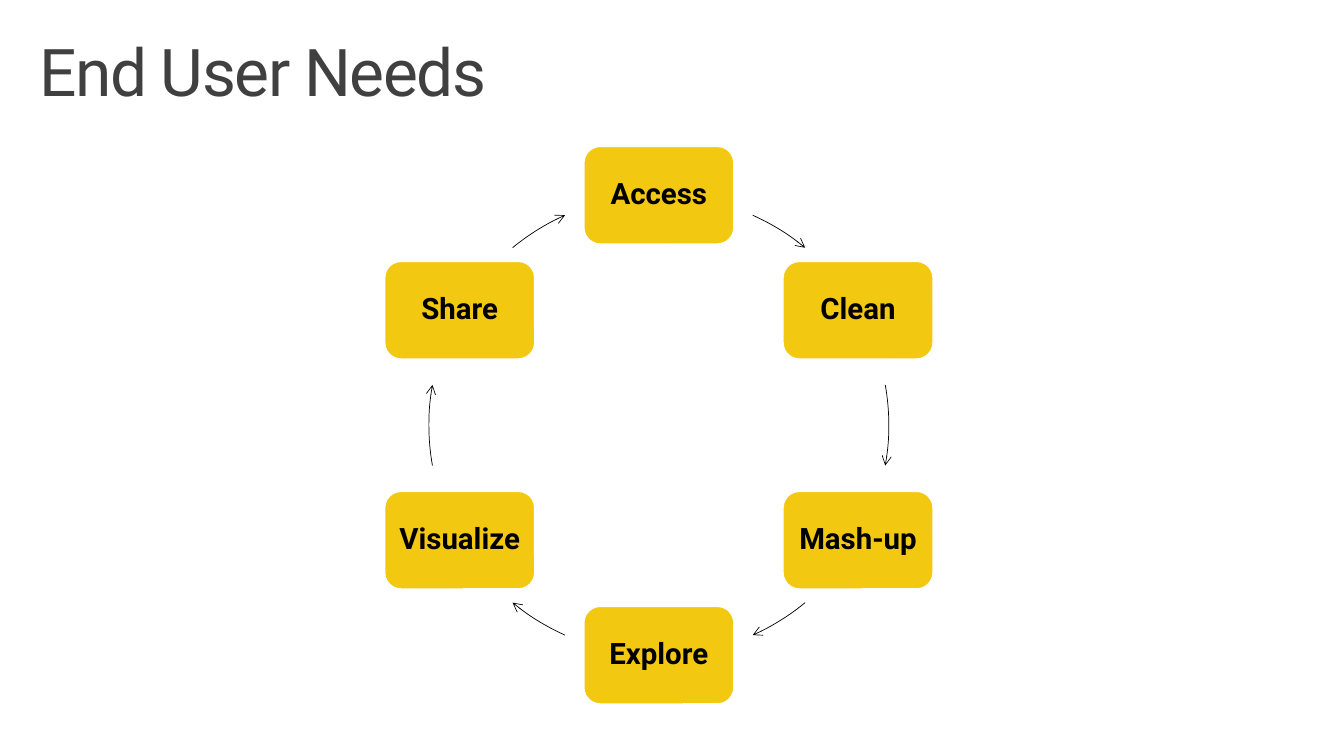
from math import cos, radians, sin

from lxml import etree
from pptx import Presentation
from pptx.dml.color import RGBColor
from pptx.enum.shapes import MSO_SHAPE as Shape
from pptx.enum.text import MSO_ANCHOR as Anchor, MSO_AUTO_SIZE as Fit, PP_ALIGN as Align
from pptx.oxml.ns import qn
from pptx.util import Cm, Pt

GOLD = RGBColor(0xF2, 0xC8, 0x11)
WHITE = RGBColor(0xFF, 0xFF, 0xFF)
BLACK = RGBColor(0, 0, 0)
GREY = RGBColor(0x40, 0x40, 0x40)
FONT = "Roboto"

STEPS = ["Access", "Clean", "Mash-up", "Explore", "Visualize", "Share"]
# Start and end angle of the arrow after each step, clockwise from the right
ARCS = [(294.1, 309.5), (349.9, 10.1), (50.5, 65.9),
        (114.1, 129.5), (169.9, 190.1), (230.5, 245.9)]
CARD_W, CARD_H = 3.78, 2.46


def style(run, size, color, bold=False):
    font = run.font
    font.name, font.size, font.bold = FONT, Pt(size), bold
    font.color.rgb = color


def add_title(slide, left, top, width, height):
    frame = slide.shapes.add_textbox(Cm(left), Cm(top), Cm(width), Cm(height)).text_frame
    frame.word_wrap = True
    frame.auto_size = Fit.SHAPE_TO_FIT_TEXT
    frame.text = "End User Needs"
    run = frame.paragraphs[0].runs[0]
    style(run, 47, GREY)
    run.font._element.set("spc", "-100")  # tighter letters


def add_card(slide, label, mid_x, mid_y):
    card = slide.shapes.add_shape(
        Shape.ROUNDED_RECTANGLE, Cm(mid_x - CARD_W / 2), Cm(mid_y - CARD_H / 2),
        Cm(CARD_W), Cm(CARD_H))
    card.shadow.inherit = False
    card.fill.solid()
    card.fill.fore_color.rgb = GOLD
    card.line.color.rgb = WHITE
    card.line.width = Pt(1)
    frame = card.text_frame
    frame.margin_left = frame.margin_right = Cm(0.2)
    frame.vertical_anchor = Anchor.MIDDLE
    frame.text = label
    para = frame.paragraphs[0]
    para.alignment = Align.CENTER
    para.line_spacing = 0.9
    style(para.runs[0], 21, BLACK, True)


def add_arc(slide, left, top, size, start, end):
    arc = slide.shapes.add_shape(Shape.ARC, Cm(left), Cm(top), Cm(size), Cm(size))
    arc.shadow.inherit = False
    # Angles count in 60000ths of a degree, adjustments in 100000ths
    arc.adjustments[0] = start * 0.6
    arc.adjustments[1] = end * 0.6
    arc.fill.background()
    arc.line.color.rgb = BLACK
    arc.line.width = Pt(0.5)
    etree.SubElement(arc.line._get_or_add_ln(), qn("a:tailEnd"), type="arrow")


def add_cycle(slide, left, top, size):
    """Cards on a circle of the given size, with an arrow between neighbours."""
    radius = size / 2
    turn = 360 / len(STEPS)
    for i, (label, (start, end)) in enumerate(zip(STEPS, ARCS)):
        angle = radians(i * turn - 90)
        add_card(slide, label, left + radius * (1 + cos(angle)),
                 top + radius * (1 + sin(angle)))
        add_arc(slide, left, top, size, start, end)


def main():
    deck = Presentation()
    deck.slide_width, deck.slide_height = Cm(33.87), Cm(19.05)
    slide = deck.slides.add_slide(deck.slide_layouts[6])
    add_cycle(slide, 10.81, 4.92, 11.59)
    add_title(slide, 0.74, 0.66, 27.46, 2.26)
    deck.save("out.pptx")


if __name__ == "__main__":
    main()
